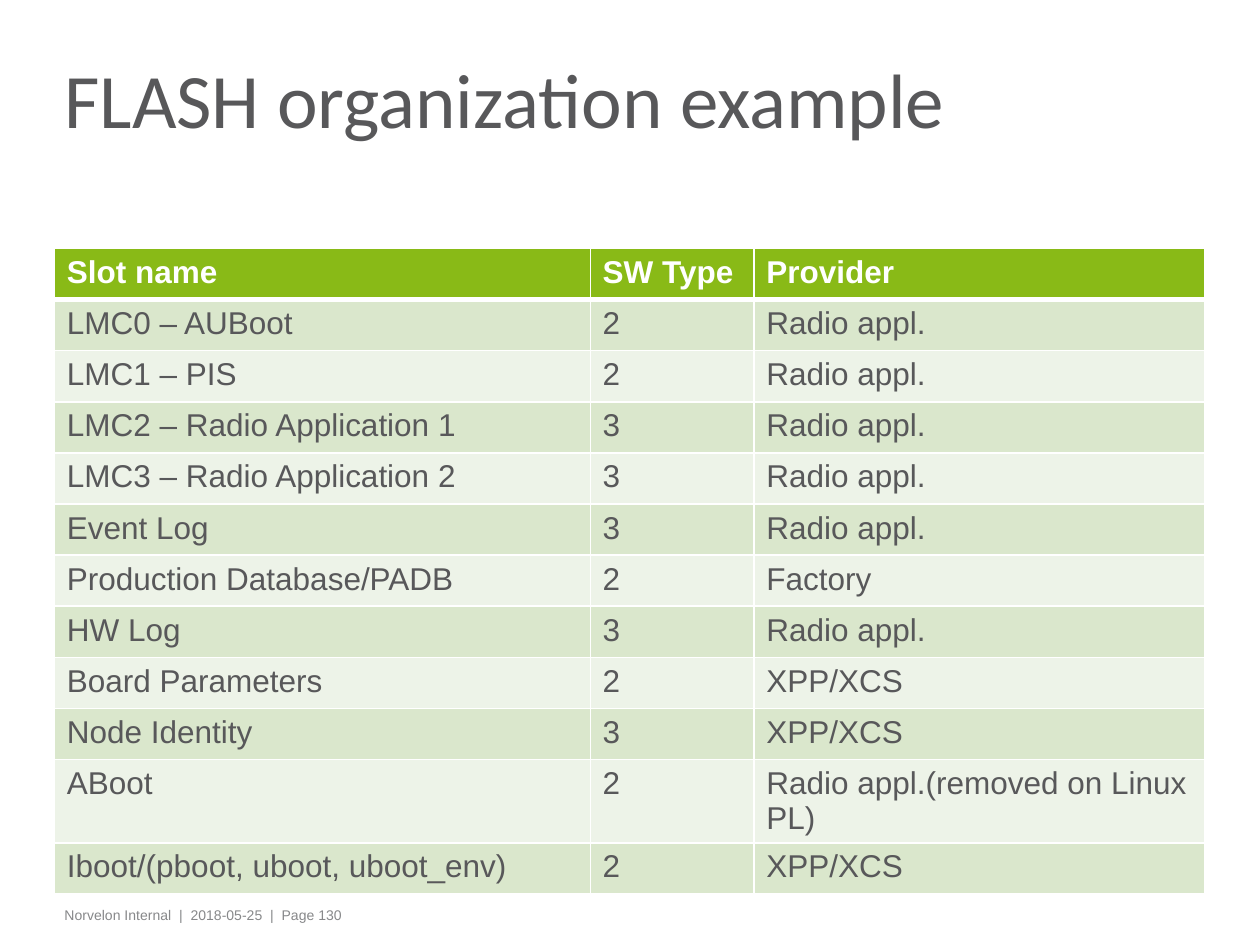
from dataclasses import dataclass

from lxml.etree import SubElement
from pptx import Presentation
from pptx.dml.color import RGBColor as RGB
from pptx.enum.text import MSO_ANCHOR as ANCHOR, MSO_AUTO_SIZE as AUTO, PP_ALIGN as ALIGN
from pptx.oxml.ns import qn
from pptx.util import Cm, Pt


@dataclass(frozen=True)
class Theme:
    text: RGB = RGB.from_string("58585A")
    footer: RGB = RGB.from_string("87888A")
    header: RGB = RGB.from_string("89BA17")
    bands: tuple = (RGB.from_string("DAE7CC"), RGB.from_string("EDF3E8"))
    white: RGB = RGB.from_string("FFFFFF")
    title_size: Pt = Pt(44)
    table_size: Pt = Pt(18)
    footer_size: Pt = Pt(8)


theme = Theme()


def style(p, font, size, color, bold=False):
    p.alignment = ALIGN.LEFT
    for r in p.runs:
        r.font.name, r.font.size, r.font.bold = font, size, bold
        r.font.color.rgb = color


def add_borders(cell, color, bottom):
    """Draw 1 pt lines around a cell, with its own width at the bottom."""
    tcPr = cell._tc.get_or_add_tcPr()
    for i, (side, width) in enumerate((("L", 1), ("R", 1), ("T", 1), ("B", bottom))):
        ln = SubElement(tcPr, qn(f"a:ln{side}"), w=str(Pt(width)))
        fill = SubElement(ln, qn("a:solidFill"))
        SubElement(fill, qn("a:srgbClr"), val=str(color))
        tcPr.insert(i, ln)  # borders come before the cell fill


prs = Presentation()
prs.slide_width, prs.slide_height = Cm(25.4), Cm(19.05)
slide = prs.slides.add_slide(prs.slide_layouts[5])

# Title
title = slide.shapes.title
title.left, title.top, title.width, title.height = Cm(1.1), Cm(0.66), Cm(20.83), Cm(3.02)
tf = title.text_frame
tf.text = "FLASH organization example"
tf.auto_size = AUTO.NONE
tf.vertical_anchor = ANCHOR.MIDDLE
tf.margin_left = tf.margin_right = Cm(0.2)
tf.margin_top = tf.margin_bottom = 0
tf.paragraphs[0].line_spacing = 0.75
style(tf.paragraphs[0], "Calibri", theme.title_size, theme.text)

# Flash slots
rows = [
    ("Slot name", "SW Type", "Provider"),
    ("LMC0 – AUBoot", "2", "Radio appl."),
    ("LMC1 – PIS", "2", "Radio appl."),
    ("LMC2 – Radio Application 1", "3", "Radio appl."),
    ("LMC3 – Radio Application 2", "3", "Radio appl."),
    ("Event Log", "3", "Radio appl."),
    ("Production Database/PADB", "2", "Factory"),
    ("HW Log", "3", "Radio appl."),
    ("Board Parameters", "2", "XPP/XCS"),
    ("Node Identity", "3", "XPP/XCS"),
    ("ABoot", "2", "Radio appl.(removed on Linux PL)"),
    ("Iboot/(pboot, uboot, uboot_env)", "2", "XPP/XCS"),
]
col_widths = (Cm(10.8), Cm(3.3), Cm(9.09))
row_height = Cm(1.03)
table = slide.shapes.add_table(
    len(rows), len(col_widths), Cm(1.1), Cm(5.01), sum(col_widths), row_height * len(rows)
).table
for column, width in zip(table.columns, col_widths):
    column.width = width
for i, values in enumerate(rows):
    is_header = i == 0
    table.rows[i].height = row_height
    for cell, value in zip(table.rows[i].cells, values):
        cell.text = value
        cell.margin_left = cell.margin_right = Cm(0.25)
        cell.margin_top = cell.margin_bottom = Cm(0.13)
        cell.fill.solid()
        cell.fill.fore_color.rgb = theme.header if is_header else theme.bands[(i - 1) % 2]
        add_borders(cell, theme.white, 3 if is_header else 1)
        color = theme.white if is_header else theme.text
        style(cell.text_frame.paragraphs[0], "Arial", theme.table_size, color, is_header)

# Footer
footer = slide.shapes.add_textbox(Cm(1.1), Cm(18.14), Cm(20.55), Cm(0.61))
tf = footer.text_frame
tf.word_wrap = True
tf.margin_left = tf.margin_right = Cm(0.2)
tf.margin_top = tf.margin_bottom = Cm(0.13)
tf.text = "Norvelon Internal  |  2018-05-25  |  Page 130"
style(tf.paragraphs[0], "Arial", theme.footer_size, theme.footer)

prs.save("out.pptx")
